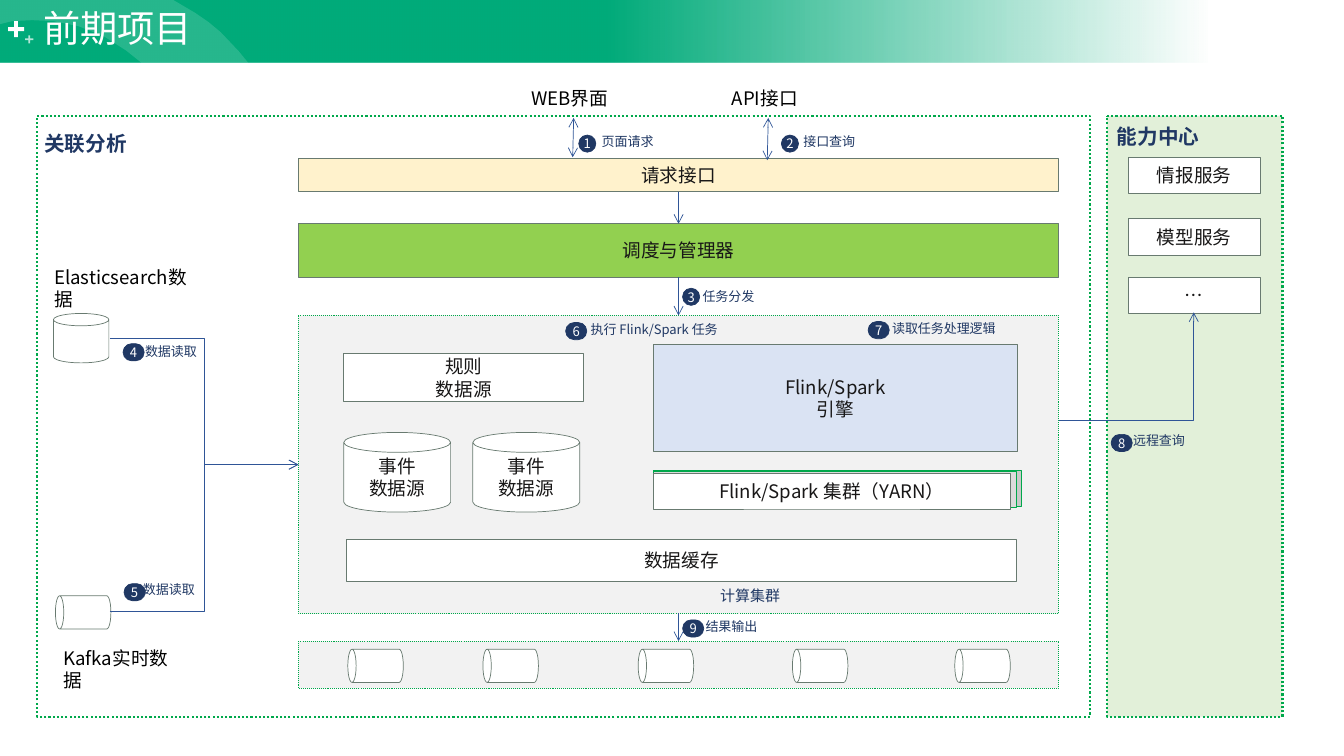
import dataclasses

import lxml.etree
import pptx
import pptx.dml.color
import pptx.enum.dml
import pptx.enum.shapes
import pptx.enum.text
import pptx.oxml.ns
import pptx.util

Inches = pptx.util.Inches
SHAPES = pptx.enum.shapes.MSO_SHAPE
CONNECTORS = pptx.enum.shapes.MSO_CONNECTOR
ALIGN = pptx.enum.text.PP_ALIGN
qn = pptx.oxml.ns.qn


@dataclasses.dataclass(frozen=True)
class Theme:
    """Colours, fonts and type sizes of the slide."""
    brand: str = "00AB7A"
    border: str = "00A84B"
    edge: str = "687A70"
    white: str = "FFFFFF"
    mint: str = "E2F0D9"
    grey: str = "F2F2F2"
    cream: str = "FFF2CC"
    lime: str = "92D050"
    blue: str = "DAE3F3"
    stack_back: str = "C9C9C9"
    stack_middle: str = "DBDBDB"
    ink: str = "181717"
    black: str = "000000"
    navy: str = "203864"
    arrow: str = "2F5597"
    font: str = "Noto Sans CJK SC"
    title_font: str = "Arial"
    title: float = 26.6
    heading: float = 14.7
    body: float = 13.3
    caption: float = 10.7
    note: float = 9.3


THEME = Theme()


@dataclasses.dataclass(frozen=True)
class Box:
    """A rectangle in inches."""
    left: float
    top: float
    width: float
    height: float

    def inner(self, x, y, width, height):
        """Return a box placed relative to this one."""
        return Box(self.left + x, self.top + y, width, height)

    def lengths(self):
        """Return the four lengths of the box."""
        return [Inches(value) for value in (self.left, self.top, self.width, self.height)]


def rgb(code):
    """Turn a hex code into a colour."""
    return pptx.dml.color.RGBColor.from_string(code)


def set_alpha(shape, percent):
    """Make the last colour of a shape's fill transparent."""
    colour = list(shape._element.spPr.iter(qn("a:srgbClr")))[-1]
    lxml.etree.SubElement(colour, qn("a:alpha"), val=str(percent * 1000))


def write(shape, text, size, colour, align=ALIGN.CENTER, bold=False, font=THEME.font):
    """Write text: newline parts paragraphs, vertical tab breaks a line."""
    frame = shape.text_frame
    for number, content in enumerate(text.split("\n")):
        paragraph = frame.add_paragraph() if number else frame.paragraphs[0]
        paragraph.alignment = align
        for position, piece in enumerate(content.split("\v")):
            if position:
                paragraph.add_line_break()
            run = paragraph.add_run()
            run.text = piece
            run.font.size = pptx.util.Pt(size)
            run.font.bold = bold
            run.font.name = font
            run.font.color.rgb = rgb(colour)
            lxml.etree.SubElement(run._r.get_or_add_rPr(), qn("a:ea"), typeface=THEME.font)


def add_block(slide, box, fill, text="", kind=SHAPES.RECTANGLE, line=THEME.edge, weight=0.5):
    """Add a filled shape with optional centred text."""
    shape = slide.shapes.add_shape(kind, *box.lengths())
    shape.shadow.inherit = False
    shape.fill.solid()
    shape.fill.fore_color.rgb = rgb(fill)
    if line:
        shape.line.color.rgb = rgb(line)
        shape.line.width = pptx.util.Pt(weight)
    else:
        shape.line.fill.background()
    if text:
        shape.text_frame.vertical_anchor = pptx.enum.text.MSO_ANCHOR.MIDDLE
        write(shape, text, THEME.body, THEME.ink)
    return shape


def add_panel(slide, box, fill, weight):
    """Add a dotted panel."""
    panel = add_block(slide, box, fill, kind=SHAPES.ROUNDED_RECTANGLE, line=THEME.border, weight=weight)
    panel.adjustments[0] = 0
    panel.line.dash_style = pptx.enum.dml.MSO_LINE.ROUND_DOT


def add_label(slide, box, text, size, colour, wrap=False, **style):
    """Add a text box."""
    label = slide.shapes.add_textbox(*box.lengths())
    label.text_frame.word_wrap = wrap
    write(label, text, size, colour, **{"align": ALIGN.LEFT, **style})


def add_step(slide, box, number, badge, label, text):
    """Add a numbered badge and its note; each place is x, y, width."""
    pill = add_block(slide, box.inner(*badge, 0.17), THEME.navy,
                     kind=SHAPES.ROUNDED_RECTANGLE, line=THEME.navy)
    pill.adjustments[0] = 0.5
    pill.text_frame.word_wrap = False
    pill.text_frame.vertical_anchor = pptx.enum.text.MSO_ANCHOR.MIDDLE
    write(pill, str(number), THEME.note, THEME.white)
    add_label(slide, box.inner(*label, 0.26), text, THEME.note, THEME.navy)


def add_queue(slide, box):
    """Add a can lying on its side."""
    add_block(slide, box, THEME.white, kind=SHAPES.CAN).rotation = 270


def add_arrow(slide, box, start, end, kind=CONNECTORS.STRAIGHT, double=False):
    """Add an arrow between two points given relative to a box."""
    points = [Inches(origin + offset) for point in (start, end)
              for origin, offset in zip((box.left, box.top), point)]
    connector = slide.shapes.add_connector(kind, *points)
    connector.line.color.rgb = rgb(THEME.arrow)
    connector.line.width = pptx.util.Pt(0.5)
    line = connector.line._get_or_add_ln()
    for name in ("a:headEnd", "a:tailEnd") if double else ("a:tailEnd",):
        lxml.etree.SubElement(line, qn(name), type="arrow")
    lxml.etree.SubElement(connector._element.spPr, qn("a:effectLst"))
    return connector


def draw_header(slide, box):
    """Draw the title band."""
    band = add_block(slide, box, THEME.brand, line=None)
    band.fill.gradient()
    band.fill.gradient_angle = 0
    for stop, position in zip(band.fill.gradient_stops, (0.45, 0.9)):
        stop.position = position
        stop.color.rgb = rgb(THEME.brand)
    set_alpha(band, 0)
    for x, y, size, opacity in ((0.08, 0.21, 0.16, 100), (0.25, 0.35, 0.08, 70)):
        plus = add_block(slide, box.inner(x, y, size, size), THEME.white, kind=SHAPES.CROSS, line=None)
        plus.adjustments[0] = 0.38
        set_alpha(plus, opacity)
    arc = [(1.72, 0), (1.94, 0.13), (2.07, 0.22), (2.19, 0.32), (2.37, 0.51), (2.46, 0.62), (1.4, 0.62),
           (1.25, 0.5), (1.03, 0.36), (0.78, 0.26), (0.53, 0.21), (0.32, 0.2), (0.12, 0.21), (0, 0.24)]
    builder = slide.shapes.build_freeform(Inches(box.left), Inches(box.top))
    builder.add_line_segments([(Inches(box.left + x), Inches(box.top + y)) for x, y in arc])
    sweep = builder.convert_to_shape()
    sweep.shadow.inherit = False
    sweep.fill.solid()
    sweep.fill.fore_color.rgb = rgb(THEME.white)
    set_alpha(sweep, 15)
    sweep.line.fill.background()
    add_label(slide, box.inner(0.33, 0, 1.7, 0.55), "前期项目", THEME.title, THEME.white, font=THEME.title_font)


def draw_cluster(slide, box):
    """Draw the computing cluster."""
    add_panel(slide, box, THEME.grey, 0.75)
    add_block(slide, box.inner(0.48, 2.22, 6.64, 0.42), THEME.white, "数据缓存")
    add_block(slide, box.inner(0.45, 0.38, 2.38, 0.47), THEME.white, "规则\n数据源")
    for x in (0.45, 1.73):
        add_block(slide, box.inner(x, 1.16, 1.06, 0.79), THEME.white, "事件\v数据源", kind=SHAPES.CAN)
    add_block(slide, box.inner(3.52, 0.29, 3.61, 1.06), THEME.blue, "Flink/Spark\v引擎")
    add_block(slide, box.inner(3.52, 1.54, 3.65, 0.35), THEME.stack_back, line=THEME.border)
    add_block(slide, box.inner(3.52, 1.55, 3.6, 0.35), THEME.stack_middle, line=THEME.border)
    add_block(slide, box.inner(3.52, 1.57, 3.54, 0.35), THEME.white, "Flink/Spark 集群（YARN）")
    add_step(slide, box, 6, (2.65, 0.07, 0.21), (2.8, 0.01, 1.75), "执行 Flink/Spark 任务")
    add_step(slide, box, 7, (5.65, 0.06, 0.21), (5.79, 0, 1.36), "读取任务处理逻辑")
    add_label(slide, box.inner(4.08, 2.64, 0.8, 0.28), "计算集群", THEME.caption, THEME.navy, align=ALIGN.CENTER)


def draw_output(slide, box):
    """Draw the row of result queues."""
    add_panel(slide, box, THEME.grey, 0.75)
    for x in (0.6, 1.94, 3.48, 5.01, 6.62):
        add_queue(slide, box.inner(x, -0.03, 0.33, 0.55))


def draw_analysis(slide, box):
    """Draw the association analysis region."""
    add_panel(slide, box, THEME.white, 1.5)
    add_label(slide, box.inner(-0.03, 0.1, 1.02, 0.35), "关联分析", THEME.heading, THEME.navy, bold=True)
    draw_cluster(slide, box.inner(2.59, 1.98, 7.54, 2.96))
    draw_output(slide, box.inner(2.59, 5.21, 7.54, 0.47))
    add_block(slide, box.inner(2.59, 0.42, 7.54, 0.33), THEME.cream, "请求接口")
    add_block(slide, box.inner(2.59, 1.07, 7.54, 0.53), THEME.lime, "调度与管理器")
    add_block(slide, box.inner(0.16, 1.96, 0.55, 0.49), THEME.white, kind=SHAPES.CAN)
    add_queue(slide, box.inner(0.29, 4.65, 0.33, 0.55))
    for x, y, width, text in ((4.8, -0.34, 0.97, "WEB界面"), (6.79, -0.34, 0.86, "API接口"),
                              (0.07, 1.44, 1.63, "Elasticsearch数据"), (0.16, 5.22, 1.4, "Kafka实时数据")):
        add_label(slide, box.inner(x, y, width, 0.33), text, THEME.body, THEME.black, wrap=True)
    for y in (2.21, 4.92):
        add_arrow(slide, box, (0.72, y), (2.59, 3.46), CONNECTORS.ELBOW)
    for x, bottom in ((5.32, 0.41), (7.25, 0.44)):
        add_arrow(slide, box, (x, 0.02), (x - 0.01, bottom), double=True)
    for top, bottom in ((0.75, 1.07), (1.6, 1.98), (4.93, 5.21)):
        add_arrow(slide, box, (6.36, top), (6.36, bottom))
    for number, badge, label, text in (
            (1, (5.37, 0.19, 0.17), (5.5, 0.13, 0.73), "页面请求"),
            (2, (7.38, 0.19, 0.17), (7.5, 0.13, 0.73), "接口查询"),
            (3, (6.4, 1.71, 0.17), (6.5, 1.66, 0.73), "任务分发"),
            (4, (0.85, 2.26, 0.21), (0.97, 2.21, 0.73), "数据读取"),
            (5, (0.86, 4.64, 0.21), (0.95, 4.57, 0.73), "数据读取"),
            (9, (6.4, 5, 0.21), (6.53, 4.94, 0.73), "结果输出")):
        add_step(slide, box, number, badge, label, text)


def draw_capability(slide, box):
    """Draw the capability centre and the remote query into it."""
    add_panel(slide, box, THEME.mint, 1.5)
    add_label(slide, box.inner(0, 0.03, 1.02, 0.35), "能力中心", THEME.heading, THEME.navy, bold=True)
    for y, text in ((0.41, "情报服务"), (1.02, "模型服务"), (1.6, "…")):
        add_block(slide, box.inner(0.21, y, 1.31, 0.36), THEME.white, text)
    query = add_arrow(slide, box, (-0.48, 3.02), (0.86, 1.95), CONNECTORS.ELBOW)
    query._element.spPr.find(qn("a:prstGeom")).set("prst", "bentConnector2")
    add_step(slide, box, 8, (0.04, 3.16, 0.21), (0.16, 3.09, 0.73), "远程查询")


def main():
    """Build and save the slide."""
    presentation = pptx.Presentation()
    presentation.slide_width, presentation.slide_height = Inches(13.33), Inches(7.5)
    slide = presentation.slides.add_slide(presentation.slide_layouts[6])
    draw_header(slide, Box(0, 0, 13.33, 0.62))
    draw_analysis(slide, Box(0.37, 1.15, 10.44, 5.96))
    draw_capability(slide, Box(10.98, 1.15, 1.74, 5.96))
    presentation.save("out.pptx")


if __name__ == "__main__":
    main()
